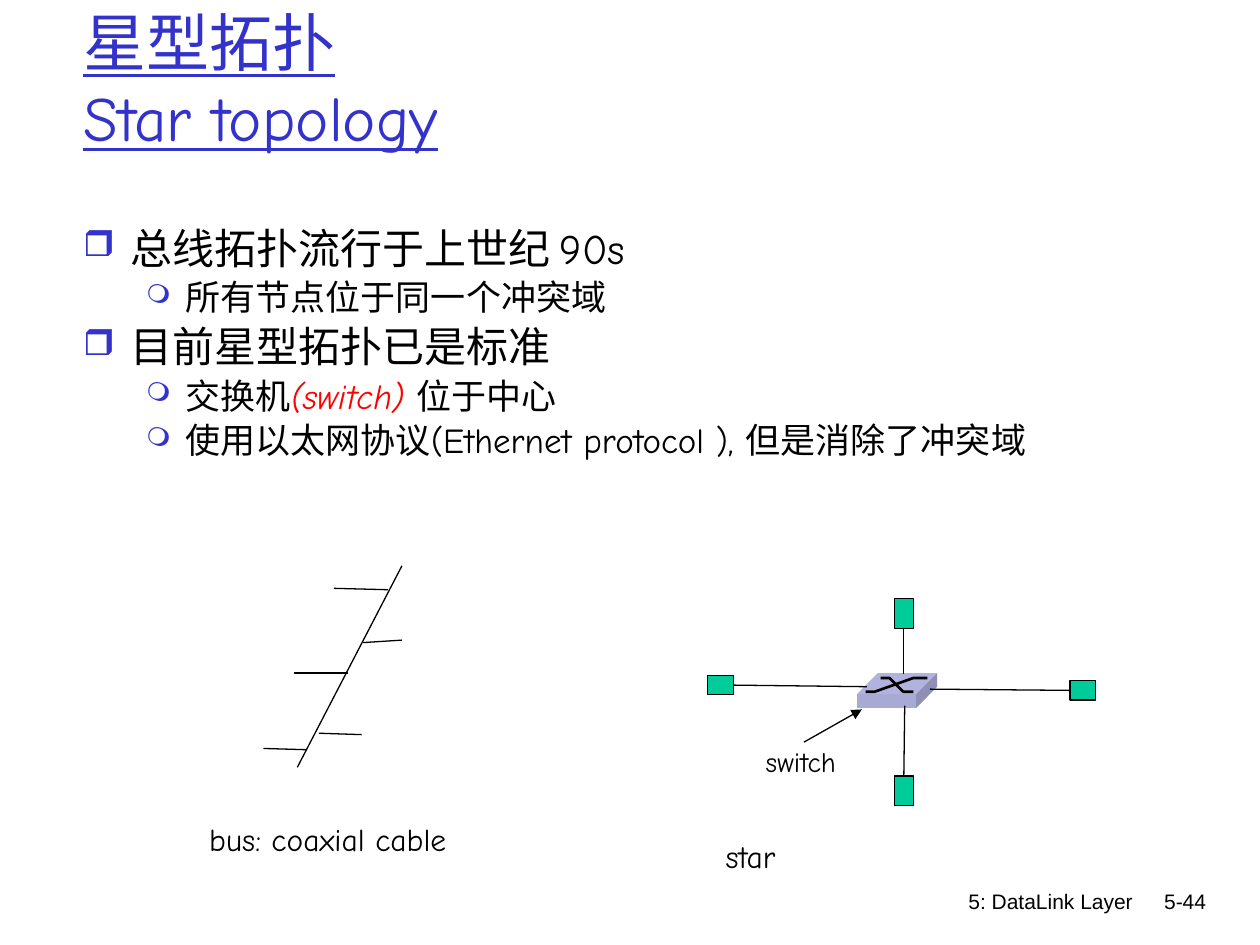
from lxml.etree import SubElement
from pptx import Presentation
from pptx.dml.color import RGBColor
from pptx.enum.shapes import MSO_CONNECTOR as CONNECTOR, MSO_SHAPE as SHAPE
from pptx.enum.text import MSO_ANCHOR as ANCHOR, PP_ALIGN as ALIGN
from pptx.oxml.ns import qn
from pptx.util import Pt

COLORS = {
    "text": "000000", "title": "3333CC", "accent": "FF0000", "node": "00CC99",
    "switch_top": "B2B2DF", "switch_front": "A9A9D6", "switch_side": "8F8FB6",
}
LATIN = "Comic Neue"


def add_run(paragraph, text, size=18, color="text", font=LATIN, italic=False, underline=False):
    run = paragraph.add_run()
    run.text = text
    run.font.size = Pt(size)
    run.font.name = font
    run.font.italic = italic
    run.font.underline = underline
    run.font.color.rgb = RGBColor.from_string(COLORS[color])


def add_box(left, top, width, height, wrap=True):
    frame = slide.shapes.add_textbox(Pt(left), Pt(top), Pt(width), Pt(height)).text_frame
    frame.word_wrap = wrap
    return frame


presentation = Presentation()
presentation.slide_width, presentation.slide_height = Pt(720), Pt(540)
slide = presentation.slides.add_slide(presentation.slide_layouts[6])

# Footer and slide number
for text, left, width in [("5: DataLink Layer", 426, 228.5), ("5-44", 643, 53.3)]:
    paragraph = add_box(left, 504, width, 36).paragraphs[0]
    paragraph.alignment = ALIGN.RIGHT
    add_run(paragraph, text, size=12, font="Arial")

# Title
title = add_box(40.5, 0, 612, 90)
title.vertical_anchor = ANCHOR.MIDDLE
paragraph = title.paragraphs[0]
add_run(paragraph, "星型拓扑", size=36, color="title", underline=True)
paragraph.add_line_break()
add_run(paragraph, "Star topology", size=36, color="title", underline=True)

# Bulleted body: level, then runs of text and format
body = add_box(40.5, 126.75, 612, 152.5)
levels = [
    {"size": 24, "margin": 27, "indent": -27, "bullet": "❒", "percent": 85},
    {"size": 20, "margin": 58.5, "indent": -22.5, "bullet": "❍", "percent": 75},
]
points = [
    (0, [("总线拓扑流行于上世纪 90s", {})]),
    (1, [("所有节点位于同一个冲突域", {})]),
    (0, [("目前星型拓扑已是标准", {})]),
    (1, [("交换机", {}), ("(switch) ", {"color": "accent", "italic": True}), ("位于中心", {})]),
    (1, [("使用以太网协议(Ethernet protocol ), 但是消除了冲突域", {})]),
]
for number, (level, runs) in enumerate(points):
    style = levels[level]
    paragraph = body.add_paragraph() if number else body.paragraphs[0]
    paragraph.level = level
    paragraph.line_spacing = 0.9
    paragraph.space_before = Pt(0.2 * style["size"] if number else 0)
    properties = paragraph._p.get_or_add_pPr()
    properties.set("marL", str(Pt(style["margin"])))
    properties.set("indent", str(Pt(style["indent"])))
    bullet_color = SubElement(properties, qn("a:buClr"))
    SubElement(bullet_color, qn("a:srgbClr"), val=COLORS["title"])
    SubElement(properties, qn("a:buSzPct"), val=str(style["percent"] * 1000))
    SubElement(properties, qn("a:buChar"), char=style["bullet"])
    for text, text_format in runs:
        add_run(paragraph, text, size=style["size"], **text_format)

# Switch body: three faces of a flat box
faces = [
    ("switch_top", [(489.6, 396.7), (501.6, 384.6), (535.5, 384.6), (523.5, 396.7)]),
    ("switch_front", [(489.6, 396.7), (523.5, 396.7), (523.5, 404.6), (489.6, 404.6)]),
    ("switch_side", [(523.5, 396.7), (535.5, 384.6), (535.5, 392.5), (523.5, 404.6)]),
]
for color, corners in faces:
    corners = [(Pt(x), Pt(y)) for x, y in corners]
    builder = slide.shapes.build_freeform(*corners[0])
    builder.add_line_segments(corners[1:], close=True)
    face = builder.convert_to_shape()
    face.shadow.inherit = False
    face.fill.solid()
    face.fill.fore_color.rgb = RGBColor.from_string(COLORS[color])
    face.line.fill.background()

# Bus trunk, its taps and the arrow to the switch
lines = [
    (229.7, 323.3, 169.9, 438.5),
    (167.8, 384.5, 198.7, 384.5),
    (150.5, 427.7, 175, 428.4),
    (207.4, 367.2, 229.7, 365.8),
    (190.8, 336.2, 221.8, 337),
    (182.2, 419, 206.6, 419.8),
    (459.4, 424.1, 492.5, 405.4),
]
connectors = [
    slide.shapes.add_connector(CONNECTOR.STRAIGHT, *[Pt(value) for value in line])
    for line in lines
]
arrow = connectors[-1]

# Star nodes: place, side that faces the switch, end of the link
nodes = [
    ((404.5, 386, 14.5, 11), 3, (495.4, 392.4)),
    ((611.5, 389, 14.5, 11), 1, (531.4, 393.8)),
    ((511, 342, 11, 17), 2, (516.5, 385.2)),
    ((511, 443.5, 11, 17), 0, (517, 403.2)),
]
for place, side, (end_x, end_y) in nodes:
    node = slide.shapes.add_shape(SHAPE.RECTANGLE, *[Pt(value) for value in place])
    node.shadow.inherit = False
    node.fill.solid()
    node.fill.fore_color.rgb = RGBColor.from_string(COLORS["node"])
    node.line.color.rgb = RGBColor.from_string(COLORS["text"])
    node.line.width = Pt(0.75)
    link = slide.shapes.add_connector(CONNECTOR.STRAIGHT, 0, 0, Pt(end_x), Pt(end_y))
    link.begin_connect(node, side)
    connectors.append(link)

for connector in connectors:
    connector.line.color.rgb = RGBColor.from_string(COLORS["text"])
    connector.line.width = Pt(0.75)
    properties = connector._element.spPr
    if connector is arrow:
        SubElement(properties.find(qn("a:ln")), qn("a:tailEnd"), type="triangle")
    SubElement(properties, qn("a:effectLst"))

# Crossing strokes on top of the switch
strokes = [
    [(494.6, 395.3), (499.7, 395.3), (522, 387.4), (529.9, 387.4)],
    [(503.3, 387.4), (508.3, 387.4), (516.2, 395.3), (522, 395.3)],
]
for stroke in strokes:
    stroke = [(Pt(x), Pt(y)) for x, y in stroke]
    builder = slide.shapes.build_freeform(*stroke[0])
    builder.add_line_segments(stroke[1:], close=False)
    mark = builder.convert_to_shape()
    mark.shadow.inherit = False
    mark.fill.background()
    mark.line.color.rgb = RGBColor.from_string(COLORS["text"])
    mark.line.width = Pt(1.5)

# Labels
labels = [
    ("switch", 16, (430.5, 422, 62.6, 26.6)),
    ("bus: coaxial cable", 18, (112.5, 465, 161.3, 28.8)),
    ("star", 18, (407.5, 474.5, 49.7, 28.8)),
]
for text, size, place in labels:
    add_run(add_box(*place, wrap=False).paragraphs[0], text, size=size)

presentation.save("out.pptx")
